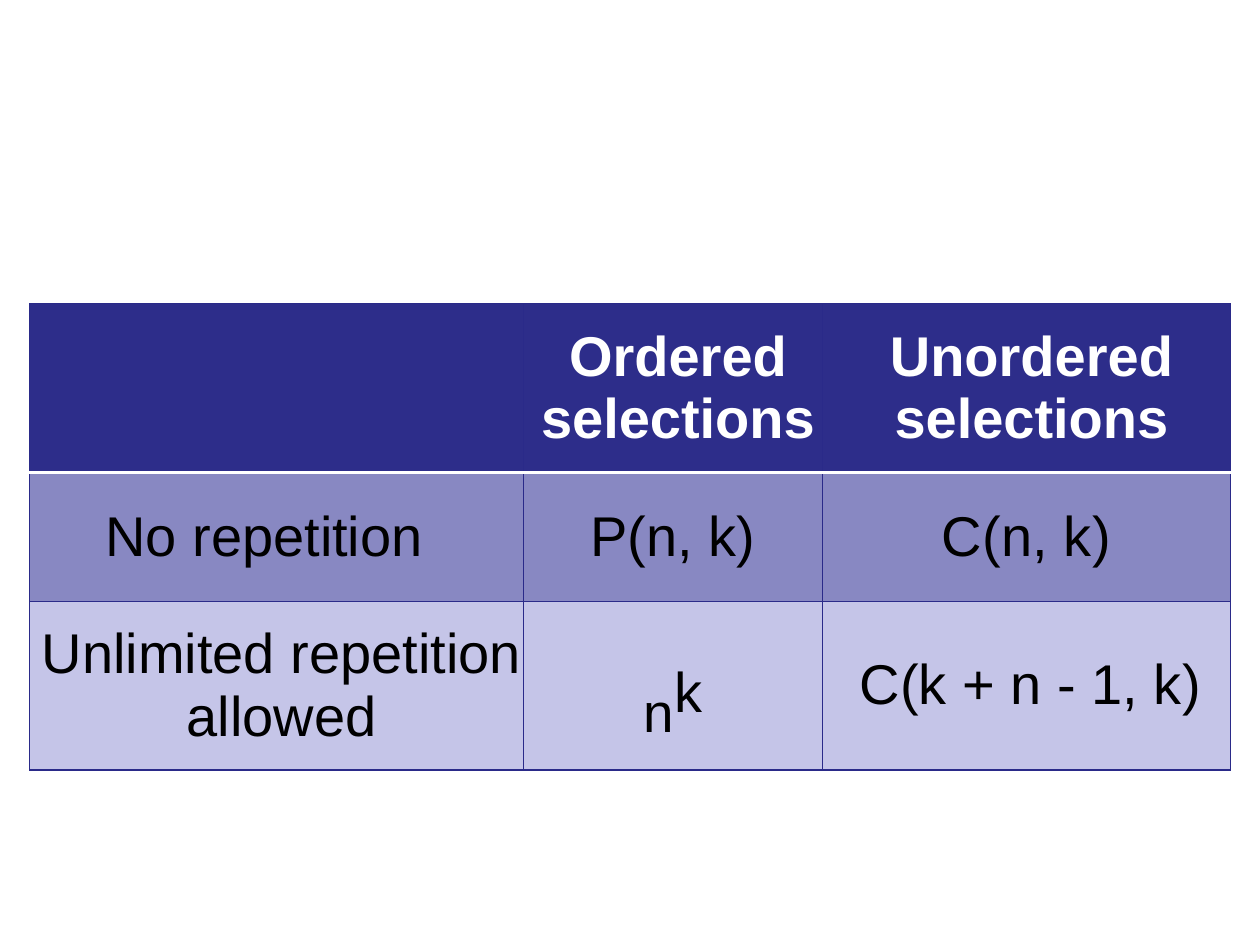
from dataclasses import dataclass
from lxml.etree import SubElement as Sub
from pptx import Presentation as Deck
from pptx.dml.color import RGBColor as RGB
from pptx.enum.text import MSO_ANCHOR as Anchor, PP_ALIGN as Align
from pptx.oxml.ns import qn
from pptx.util import Pt


@dataclass(frozen=True)
class Theme:
    font: str = "Arial"
    size: int = 32
    large: int = 54
    ink: str = "000000"
    white: str = "FFFFFF"
    head: str = "2D2D8A"
    line: str = "2A2A89"
    mid: str = "8888C2"
    pale: str = "C5C5E8"


def write(para, text, font, size, color, bold=False, space=0, base=0):
    run = para.add_run()
    run.text = text
    face = run.font
    face.name, face.size, face.bold = font, Pt(size), bold
    face.color.rgb = RGB.from_string(color)
    props = run._r.get_or_add_rPr()
    if space:
        props.set("spc", str(round(space * 100)))
    if base:
        props.set("baseline", str(base * 1000))


class Page:
    """Holds the theme and the current slide, and draws its elements."""

    def __init__(self, slide, theme):
        self.slide, self.theme = slide, theme

    def edge(self, cell, side, color, width):
        line = Sub(cell._tc.get_or_add_tcPr(), qn(f"a:{side}"), w=str(Pt(width)))
        Sub(Sub(line, qn("a:solidFill")), qn("a:srgbClr"), val=color)

    def cell(self, cell, runs, fill, color, bold=False, indent=0, align=Align.CENTER, top=None, low=None):
        theme = self.theme
        thin = (theme.line, 0.75)
        edges = {"lnL": thin, "lnR": thin, "lnT": top or thin, "lnB": low or thin}
        for side, (tone, width) in edges.items():
            self.edge(cell, side, tone, width)
        cell.fill.solid()
        cell.fill.fore_color.rgb = RGB.from_string(fill)
        cell.margin_left = cell.margin_right = cell.margin_top = cell.margin_bottom = 0
        cell.vertical_anchor = Anchor.MIDDLE
        para = cell.text_frame.paragraphs[0]
        para.alignment = align
        para._p.get_or_add_pPr().set("marL", str(Pt(indent)))
        for text, form in runs:
            style = {"font": theme.font, "size": theme.size, "color": color, "bold": bold}
            write(para, text, **(style | form))

    def table(self, left, top, cols, rows, fills, data):
        theme = self.theme
        frame = self.slide.shapes.add_table(
            len(rows), len(cols), Pt(left), Pt(top), Pt(sum(cols)), Pt(sum(rows)))
        grid = frame.table
        for col, width in zip(grid.columns, cols):
            col.width = Pt(width)
        for row, height in zip(grid.rows, rows):
            row.height = Pt(height)
        rule = (theme.white, 2)
        for r, line in enumerate(data):
            head = r == 0
            for c, (runs, form) in enumerate(line):
                self.cell(grid.cell(r, c), runs, fills[r],
                          theme.white if head else theme.ink, bold=head,
                          top=rule if r == 1 else None, low=rule if head else None, **form)


def main():
    deck = Deck()
    deck.slide_width, deck.slide_height = Pt(720), Pt(540)
    theme = Theme()
    page = Page(deck.slides.add_slide(deck.slide_layouts[6]), theme)
    wide = {"space": 0.2}
    near = {"indent": 6}
    tail = [("k", wide), (")", {})]
    data = [
        [([], {}),
         ([("Ordered selections", {})], near),
         ([("Unordered selections", {})], near)],
        [([("No repetition", {})], {"indent": 43.2, "align": Align.LEFT}),
         ([("P(n, ", {}), *tail], {}),
         ([("C", wide), ("(n, ", {}), *tail], {})],
        [([("Unlimited repetition all", {}), ("o", {"space": -0.3}), ("wed", {})], near),
         ([("n", {"size": theme.large, "base": -21}), ("k", {})], {}),
         ([("C", wide), ("(k + n - 1, ", {}), *tail], {"indent": 21, "align": Align.LEFT})],
    ]
    page.table(17, 173.5, [282, 171, 233], [96.5, 73.5, 96.5],
               [theme.head, theme.mid, theme.pale], data)
    deck.save("out.pptx")


if __name__ == "__main__":
    main()
